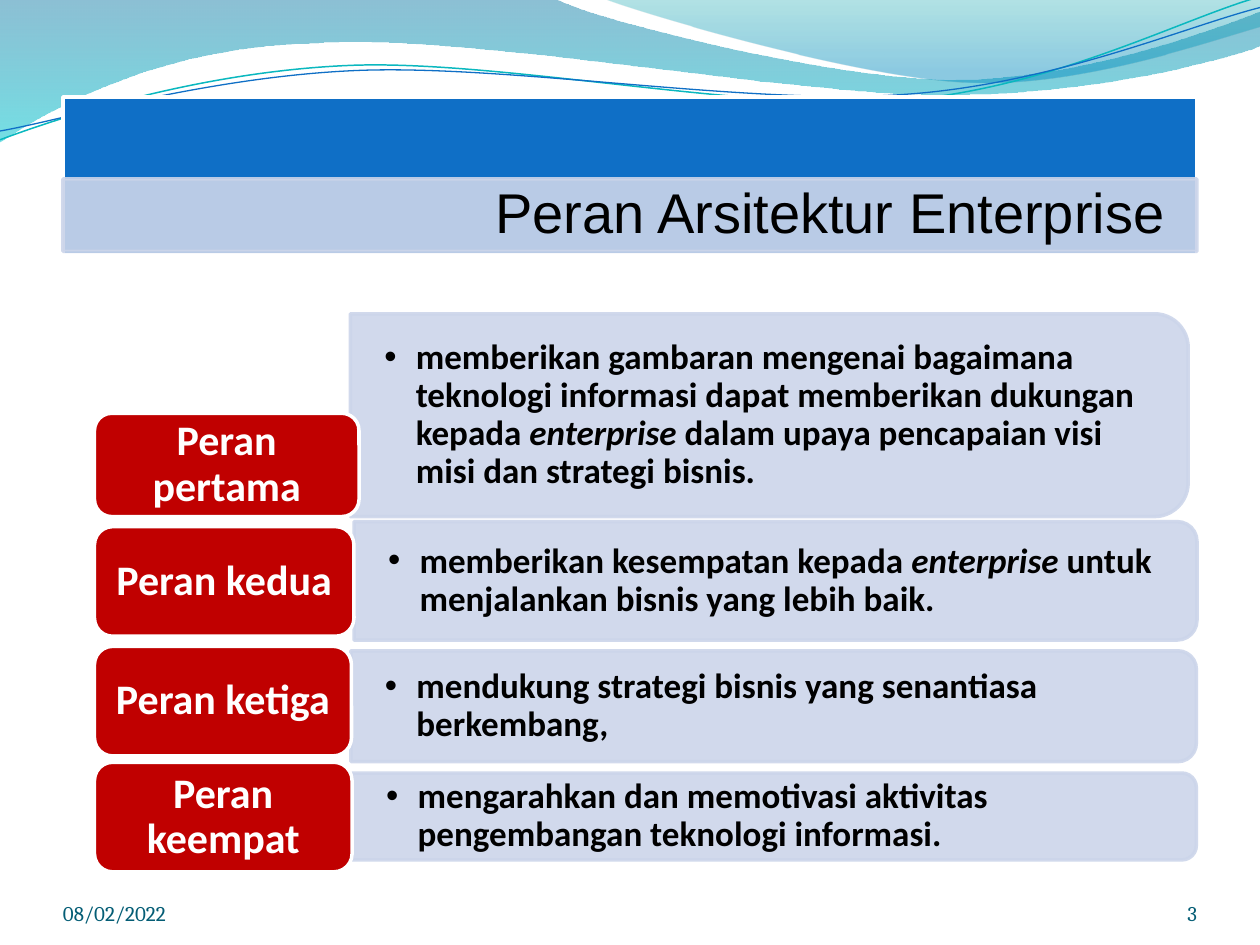
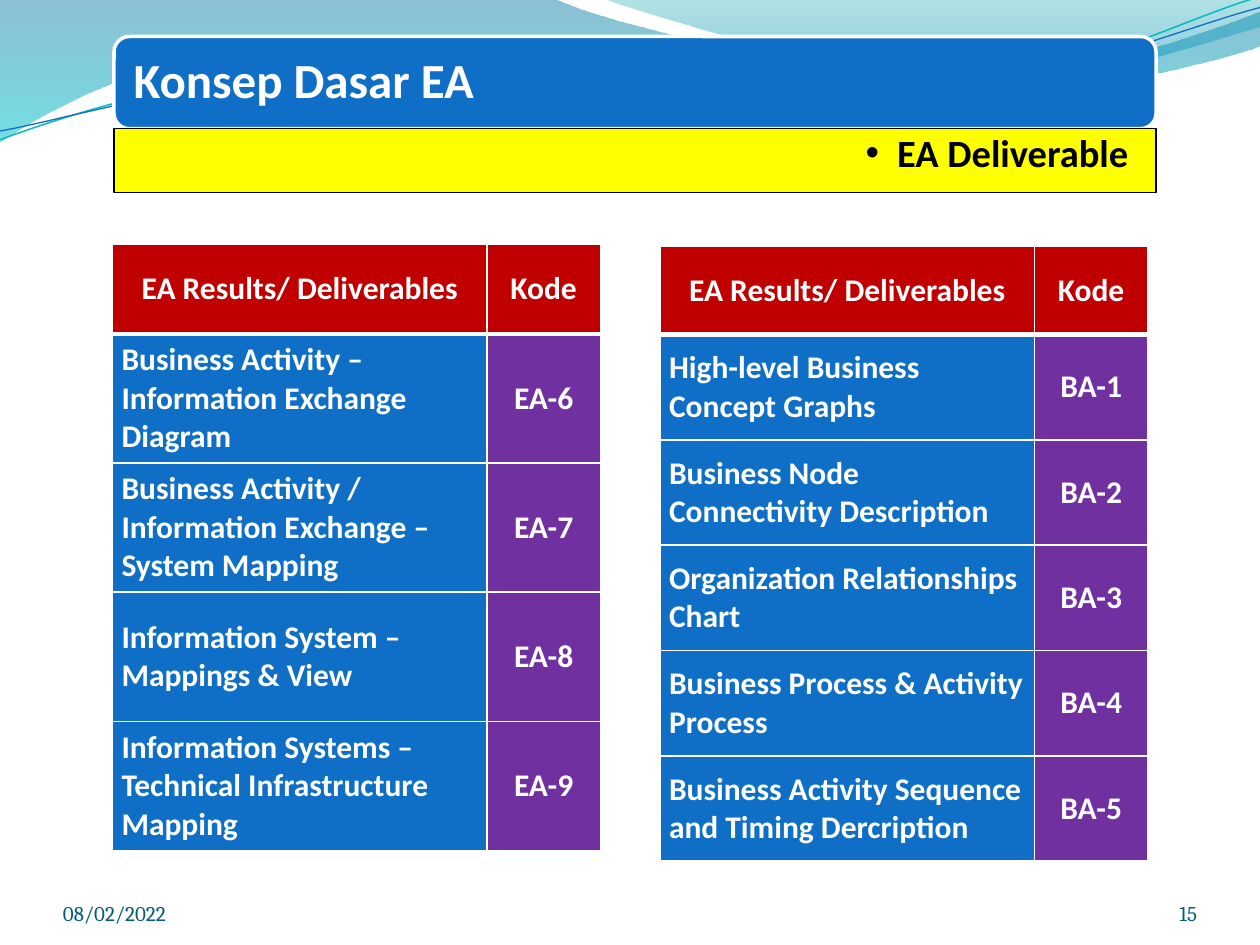
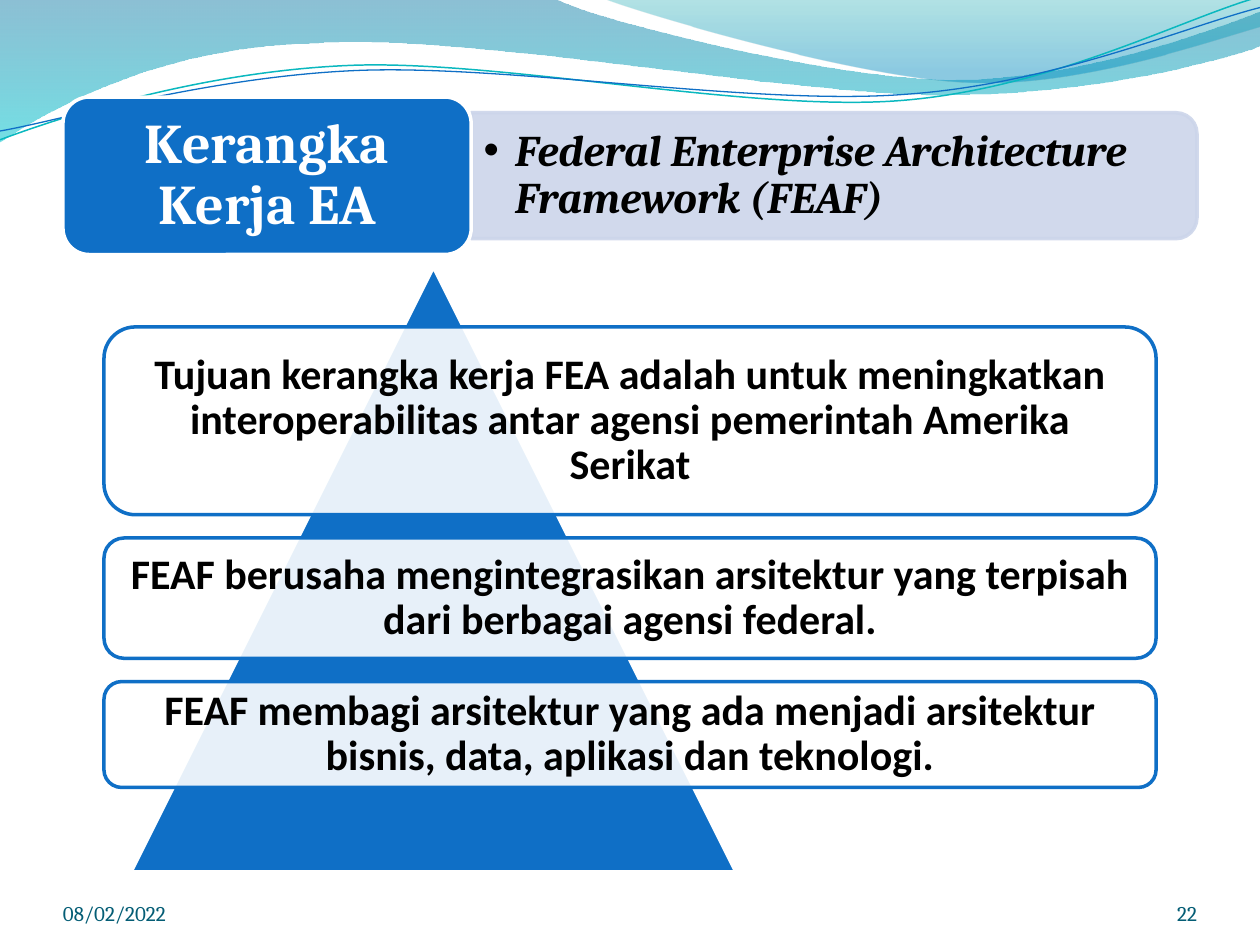
from lxml import etree
from pptx import Presentation
from pptx import util as u
from pptx.dml.color import RGBColor
from pptx.enum import shapes, text
from pptx.oxml import ns

# Grid of 100 columns by 75 rows; every box is (column, row, columns, rows).
COLS, ROWS = 100, 75
CELL = u.Inches(0.1)

C = {
    "blue": "0F6FC6", "teal": "0AB8BF", "red": "C00000", "purple": "7030A0",
    "yellow": "FFFF00", "pale": "CCD5EA", "white": "FFFFFF", "black": "000000",
    "footer": "045D75", "sea": "0074A1", "aqua": "00C6CF", "lagoon": "00A1A9",
    "sky": "008BBF",
}
BODY, SERIF, PLAIN = "Calibri", "Cambria", "Arial"
LEFT, CENTER, RIGHT = text.PP_ALIGN.LEFT, text.PP_ALIGN.CENTER, text.PP_ALIGN.RIGHT
TOP, MIDDLE, BOTTOM = text.MSO_ANCHOR.TOP, text.MSO_ANCHOR.MIDDLE, text.MSO_ANCHOR.BOTTOM
SHAPE = shapes.MSO_SHAPE
DATE = "08/02/2022"

# Each wave is a list of strokes: a start point, then three points per Bezier curve.
BACK_WAVE = [
    [(0, 0)],
    [(44, -0.1), (47.6, 1.7), (66.4, 6.3), (75.8, 6.3), (85.3, 6.3), (95.8, 2.6), (100, 0.9)],
    [(100.1, 3.6), (98.3, 4.4), (87, 7.6), (74.6, 7.5), (62.2, 7.5), (38.2, 2.8), (25.7, 3.4),
     (12.9, 3.6), (4.6, 8.3), (-0.1, 11.3)],
]
FRONT_WAVE = [
    [(47.9, -0.1), (50.9, 1.1), (68.2, 6.2), (76.9, 6.5), (85.6, 6.9), (96.1, 3.2), (100, 2.1)],
    [(100, 0)],
]
TEAL_CURVE = [[(0, 11.1), (4.8, 9.3), (15.8, 5.7), (27.7, 5.2), (39.5, 4.7), (59.3, 8.9),
               (71.3, 8), (83.3, 7.1), (93.8, 1.5), (99.8, -0.2)]]
BLUE_CURVE = [[(0, 10.4), (4.7, 9.6), (16.4, 6.1), (28.3, 5.6), (40.3, 5.1), (59.7, 8.4),
               (71.7, 7.5), (83.6, 6.7), (94.1, 2.1), (100, 0.6)]]


def rgb(name):
    return RGBColor.from_string(C[name])


def cells(*lengths):
    return [int(round(v * CELL)) for v in lengths]


def set_alpha(sp, *percents):
    """Give the shape's colours, fill first and line last, these opacities."""
    for clr, percent in zip(sp._element.spPr.iter(ns.qn("a:srgbClr")), percents):
        etree.SubElement(clr, ns.qn("a:alpha")).set("val", str(percent * 1000))


def paint(sp, fill=None, line=None, width=2):
    sp.shadow.inherit = False
    if fill:
        sp.fill.solid()
        sp.fill.fore_color.rgb = rgb(fill)
    else:
        sp.fill.background()
    if line:
        sp.line.color.rgb = rgb(line)
        sp.line.width = u.Pt(width)
    else:
        sp.line.fill.background()


def add_bullet(p):
    p.level = 1
    pPr = p._p.get_or_add_pPr()
    pPr.set("marL", str(u.Inches(0.25)))
    pPr.set("indent", str(-u.Inches(0.25)))
    etree.SubElement(pPr, ns.qn("a:buFont")).set("typeface", PLAIN)
    etree.SubElement(pPr, ns.qn("a:buChar")).set("char", "•")


def write(tf, words, size, color, font=BODY, bold=True, align=CENTER, spacing=0.9, bullet=False):
    """Fill the first paragraph; parts between underscores are italic."""
    p = tf.paragraphs[0]
    p.alignment = align
    p.line_spacing = spacing
    if bullet:
        add_bullet(p)
    for i, part in enumerate(words.split("_")):
        if part:
            r = p.add_run()
            r.text = part
            f = r.font
            f.name, f.size, f.bold, f.italic = font, u.Pt(size), bold, i % 2 == 1
            f.color.rgb = rgb(color)


def frame(sp, inset, anchor=MIDDLE):
    """Set wrapping, anchor and insets (left, top, right, bottom, in cells)."""
    tf = sp.text_frame
    tf.word_wrap = True
    tf.vertical_anchor = anchor
    tf.margin_left, tf.margin_top, tf.margin_right, tf.margin_bottom = cells(*inset)
    return tf


def add_box(s, kind, box, fill, line, width=2):
    sp = s.shapes.add_shape(kind, *cells(*box))
    paint(sp, fill, line, width)
    return sp


def add_label(s, box, inset, anchor=MIDDLE, **style):
    write(frame(s.shapes.add_textbox(*cells(*box)), inset, anchor), **style)


def add_side_panel(s, box, inset, **style):
    """Pale panel rounded on its right side, with one bullet over it."""
    x, y, w, h = box
    sp = add_box(s, SHAPE.ROUND_2_SAME_RECTANGLE,
                 (x + (w - h) / 2, y + (h - w) / 2, h, w), "pale", "pale")
    sp.rotation = 90
    set_alpha(sp, 90, 90)
    add_label(s, (x, y, w - 0.5, h), inset, color="black", align=LEFT, bullet=True, **style)


def add_outline(s, strokes, close):
    """Draw the strokes as one outline, joined by straight lines."""
    start, *rest = [cells(*point) for stroke in strokes for point in stroke]
    builder = s.shapes.build_freeform(*start)
    builder.add_line_segments(rest, close=close)
    sp = builder.convert_to_shape()
    segments = iter(list(sp._element.spPr.iter(ns.qn("a:lnTo"))))
    for n, stroke in enumerate(strokes):
        if n:
            next(segments)
        for _ in range(len(stroke) // 3):
            first, second, end = (next(segments) for _ in range(3))
            first.tag = ns.qn("a:cubicBezTo")
            for segment in (second, end):
                first.append(segment[0])
                segment.getparent().remove(segment)
    return sp


def add_waves(s):
    for strokes, stops in (
        (BACK_WAVE, ((0, "sea", 45), (1, "aqua", 55))),
        (FRONT_WAVE, ((0, "lagoon", 30), (0.8, "sky", 45))),
    ):
        sp = add_outline(s, strokes, True)
        paint(sp)
        sp.fill.gradient()
        sp.fill.gradient_angle = 270
        for stop, (position, color, _) in zip(sp.fill.gradient_stops, stops):
            stop.position = position
            stop.color.rgb = rgb(color)
        set_alpha(sp, *(opacity for _, _, opacity in stops))
    for strokes, color, width in ((TEAL_CURVE, "teal", 0.85), (BLUE_CURVE, "blue", 0.75)):
        paint(add_outline(s, strokes, False), line=color, width=width)


def add_footer(s, number):
    for x, w, words, align in ((5, 23.3, DATE, LEFT), (86.7, 8.3, str(number), RIGHT)):
        add_label(s, (x, 69.5, w, 4), (0, 0, 0, 0), BOTTOM, words=words, size=12,
                  color="footer", font=SERIF, bold=False, align=align, spacing=1)


def new_slide(prs, number):
    s = prs.slides.add_slide(prs.slide_layouts[6])
    add_waves(s)
    add_footer(s, number)
    return s


def add_title_band(s, box, words):
    x, y, w, h = box
    add_box(s, SHAPE.RECTANGLE, box, "blue", "white")
    band = add_box(s, SHAPE.RECTANGLE, (x, y + 0.52 * h, w, 0.46 * h), "pale", "pale")
    set_alpha(band, 90, 90)
    write(frame(band, (2.5, 0.4, 2.5, 0.4)), words, 32, "black", PLAIN, False, RIGHT)


def add_role(s, label_box, panel_box, label, words):
    add_side_panel(s, panel_box, (2.7, 0, 2.7, 0), words=words, size=20)
    tag = add_box(s, SHAPE.ROUNDED_RECTANGLE, label_box, "red", "white")
    write(frame(tag, (1, 0.5, 1, 0.5)), label, 24, "white")


def add_topic_header(s, box, title, topic):
    x, y, w, h = box
    split = 0.59 * h
    head = add_box(s, SHAPE.ROUNDED_RECTANGLE, (x, y, w, split), "blue", "white")
    write(frame(head, (1.2,) * 4), title, 28, "white", align=LEFT)
    strip = add_box(s, SHAPE.RECTANGLE, (x, y + split, w, h - split), "yellow", "black", 0.75)
    write(frame(strip, (2.6, 0.4, 2.2, 0.4), TOP), topic, 22, "black", align=RIGHT, bullet=True)


def set_borders(cell, **widths):
    tcPr = cell._tc.get_or_add_tcPr()
    for side in "LRTB":
        ln = etree.SubElement(tcPr, ns.qn("a:ln" + side))
        ln.set("w", str(u.Pt(widths.get(side, 1))))
        fill = etree.SubElement(ln, ns.qn("a:solidFill"))
        etree.SubElement(fill, ns.qn("a:srgbClr")).set("val", C["white"])


def add_deliverables(s, box, head_height, rows):
    x, y, w, h = box
    data = [("EA Results/ Deliverables", "Kode")] + rows
    tbl = s.shapes.add_table(len(data), 2, *cells(*box)).table
    tbl.horz_banding = False
    tbl.columns[0].width, tbl.columns[1].width = cells(w - 9, 9)
    for i, row in enumerate(data):
        tbl.rows[i].height = cells((h - head_height) / len(rows) if i else head_height)[0]
        for j, words in enumerate(row):
            cell = tbl.cell(i, j)
            set_borders(cell, **({0: {"B": 3}, 1: {"T": 3}}.get(i, {})))
            cell.fill.solid()
            cell.fill.fore_color.rgb = rgb(("blue", "purple")[j] if i else "red")
            cell.vertical_anchor = MIDDLE
            cell.margin_left, cell.margin_right = cells(0.7, 0.7)
            cell.margin_top = cell.margin_bottom = 0
            write(cell.text_frame, words, 18, "white", spacing=1,
                  align=LEFT if i and not j else CENTER)


def add_framework_header(s, box, title, topic):
    x, y, w, h = box
    split = 0.36 * w
    add_side_panel(s, (x + split, y + 0.1 * h, w - split, 0.8 * h), (1, 0.5, 1, 0.5),
                   words=topic, size=25, font=SERIF)
    head = add_box(s, SHAPE.ROUNDED_RECTANGLE, (x, y, split, h), "blue", "white")
    write(frame(head, (1.3, 0.7, 1.3, 0.7)), title, 32, "white", SERIF)


def add_pyramid(s, box, statements):
    """Triangle on the left of the box, with statements (top, height, words) across it."""
    x, y, w, h = box
    add_box(s, SHAPE.ISOSCELES_TRIANGLE, (x + 2.15, y, h, h), "blue", "white")
    for top, height, words in statements:
        sp = add_box(s, SHAPE.ROUNDED_RECTANGLE, (x, y + top, w, height), "white", "blue")
        set_alpha(sp, 90)
        write(frame(sp, (1, 1, 1, 1)), words, 24, "black")


def roles_slide(prs):
    s = new_slide(prs, 3)
    add_title_band(s, (5, 7.7, 90, 12.5), "Peran Arsitektur Enterprise")
    add_role(s, (7.5, 32.8, 21, 8.2), (27.8, 24.9, 66.5, 16.1), "Peran pertama",
             "memberikan gambaran mengenai bagaimana teknologi informasi dapat memberikan "
             "dukungan kepada _enterprise _dalam upaya pencapaian visi misi dan strategi bisnis.")
    add_role(s, (7.5, 41.8, 20.6, 8.7), (28.1, 41.4, 66.9, 9.4), "Peran kedua",
             "memberikan kesempatan kepada _enterprise _untuk menjalankan bisnis yang lebih baik.")
    add_role(s, (7.5, 51.3, 20.4, 8.7), (27.85, 51.65, 67.1, 8.8), "Peran ketiga",
             "mendukung strategi bisnis yang senantiasa berkembang,")
    add_role(s, (7.5, 60.5, 20.45, 8.7), (27.95, 61.35, 67, 6.9), "Peran keempat",
             "mengarahkan dan memotivasi aktivitas pengembangan teknologi informasi.")


def deliverables_slide(prs):
    s = new_slide(prs, 15)
    add_deliverables(s, (8.95, 19.4, 38.7, 48.1), 7.1, [
        ("Business Activity – Information Exchange Diagram", "EA-6"),
        ("Business Activity / Information Exchange – System Mapping", "EA-7"),
        ("Information System – Mappings & View", "EA-8"),
        ("Information Systems – Technical Infrastructure Mapping", "EA-9"),
    ])
    add_deliverables(s, (52.4, 19.55, 38.7, 48.8), 7, [
        ("High-level Business Concept Graphs", "BA-1"),
        ("Business Node Connectivity Description", "BA-2"),
        ("Organization Relationships Chart", "BA-3"),
        ("Business Process & Activity Process", "BA-4"),
        ("Business Activity Sequence and Timing Dercription", "BA-5"),
    ])
    add_topic_header(s, (9.05, 2.9, 82.7, 12.4), "Konsep Dasar EA", "EA Deliverable")


def framework_slide(prs):
    s = new_slide(prs, 22)
    add_framework_header(s, (5, 7.7, 90, 12.5), "Kerangka Kerja EA",
                         "_Federal Enterprise Architecture Framework (FEAF)_")
    add_pyramid(s, (8.25, 21.2, 83.5, 48), [
        (4.75, 14.9, "Tujuan kerangka kerja FEA adalah untuk meningkatkan interoperabilitas "
                     "antar agensi pemerintah Amerika Serikat"),
        (21.5, 9.55, "FEAF berusaha mengintegrasikan arsitektur yang terpisah dari berbagai "
                     "agensi federal."),
        (32.9, 8.4, "FEAF membagi arsitektur yang ada menjadi arsitektur bisnis, data, "
                    "aplikasi dan teknologi."),
    ])


def main():
    prs = Presentation()
    prs.slide_width, prs.slide_height = cells(COLS, ROWS)
    roles_slide(prs)
    deliverables_slide(prs)
    framework_slide(prs)
    prs.save("out.pptx")


if __name__ == "__main__":
    main()
